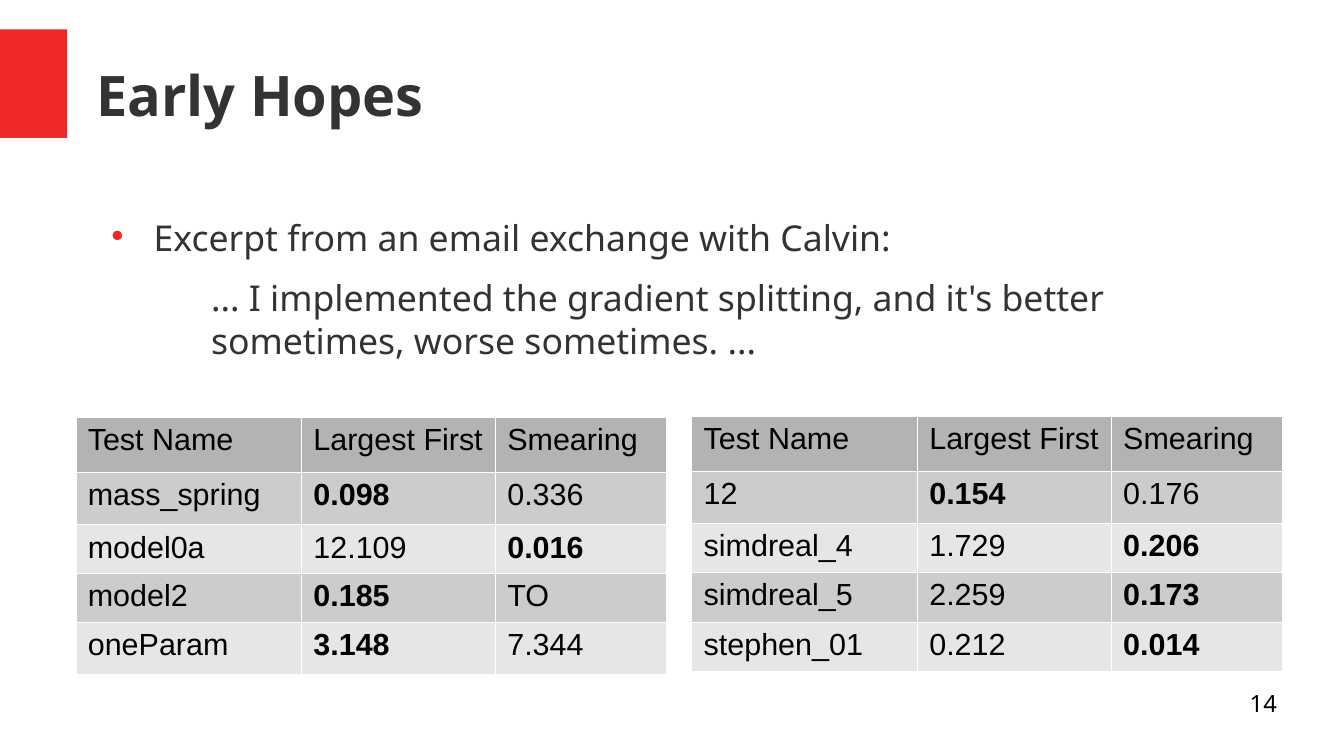
from dataclasses import dataclass

from lxml.etree import SubElement
from pptx import Presentation
from pptx.dml.color import RGBColor
from pptx.enum.shapes import MSO_SHAPE
from pptx.enum.text import MSO_ANCHOR, MSO_AUTO_SIZE, PP_ALIGN
from pptx.oxml.ns import qn
from pptx.util import Inches, Pt


@dataclass(frozen=True)
class Theme:
    accent: str = "EF2929"
    heading: str = "333333"
    ink: str = "000000"
    border: str = "FFFFFF"
    header_fill: str = "B3B3B3"
    band_fills: tuple = ("CCCCCC", "E6E6E6")
    text_font: str = "Noto Sans"
    table_font: str = "Arial"
    title_size: float = 33
    body_size: float = 21
    table_size: float = 18
    number_size: float = 14


THEME = Theme()
HEADERS = ("Test Name", "Largest First", "Smearing")
COLUMN_WIDTHS = (1.85, 1.59, 1.4)
MODEL_TIMES = (
    ("mass_spring", "0.098", "0.336"),
    ("model0a", "12.109", "0.016"),
    ("model2", "0.185", "TO"),
    ("oneParam", "3.148", "7.344"),
)
SIMULATION_TIMES = (
    ("12", "0.154", "0.176"),
    ("simdreal_4", "1.729", "0.206"),
    ("simdreal_5", "2.259", "0.173"),
    ("stephen_01", "0.212", "0.014"),
)


def style(paragraph, size, color, face=THEME.text_font, bold=False):
    font = paragraph.font
    font.name, font.size, font.bold = face, Pt(size), bold
    font.color.rgb = RGBColor.from_string(color)


def clear_margins(frame):
    frame.margin_left = frame.margin_top = frame.margin_right = frame.margin_bottom = 0
    frame.word_wrap = True


def add_heading(slide, left, top, width, height):
    """Place the title and the accent block at the slide's left edge."""
    block = slide.shapes.add_shape(
        MSO_SHAPE.RECTANGLE, 0, Inches(top - 0.01), Inches(0.55), Inches(0.89))
    block.shadow.inherit = False
    block.fill.solid()
    block.fill.fore_color.rgb = RGBColor.from_string(THEME.accent)
    block.line.fill.background()

    title = slide.shapes.title
    title.left, title.top = Inches(left), Inches(top)
    title.width, title.height = Inches(width), Inches(height)
    frame = title.text_frame
    clear_margins(frame)
    frame.auto_size = MSO_AUTO_SIZE.NONE
    frame.vertical_anchor = MSO_ANCHOR.MIDDLE
    frame.text = "Early Hopes"
    heading = frame.paragraphs[0]
    heading.alignment = PP_ALIGN.LEFT
    style(heading, THEME.title_size, THEME.heading, bold=True)


def indent(paragraph, margin, first_line=0):
    properties = paragraph._p.get_or_add_pPr()
    properties.set("marL", str(Inches(margin)))
    properties.set("indent", str(Inches(first_line)))
    return properties


def add_excerpt(slide, left, top, width, height):
    frame = slide.shapes.add_textbox(
        Inches(left), Inches(top), Inches(width), Inches(height)).text_frame
    clear_margins(frame)
    intro = frame.paragraphs[0]
    intro.text = "Excerpt from an email exchange with Calvin:"
    intro.space_after = Pt(10.6)
    properties = indent(intro, 0.47, -0.35)
    bullet_color = SubElement(properties, qn("a:buClr"))
    SubElement(bullet_color, qn("a:srgbClr"), val=THEME.accent)
    SubElement(properties, qn("a:buSzPct"), val="45000")
    SubElement(properties, qn("a:buChar"), char="●")

    quote = frame.add_paragraph()
    quote.text = ("... I implemented the gradient splitting, and it's better "
                  "sometimes, worse sometimes. ...")
    quote.space_after = Pt(8.5)
    indent(quote, 0.94)
    for paragraph in (intro, quote):
        style(paragraph, THEME.body_size, THEME.heading)


def add_borders(cell):
    properties = cell._tc.get_or_add_tcPr()
    for side in ("lnL", "lnR", "lnT", "lnB"):
        line = SubElement(properties, qn(f"a:{side}"), w=str(Pt(0.06)))
        fill = SubElement(line, qn("a:solidFill"))
        SubElement(fill, qn("a:srgbClr"), val=THEME.border)


def fill_cell(cell, text, color, bold):
    add_borders(cell)
    cell.fill.solid()
    cell.fill.fore_color.rgb = RGBColor.from_string(color)
    cell.margin_left = cell.margin_right = Inches(0.1)
    cell.margin_top = cell.margin_bottom = Inches(0.05)
    cell.text = text
    style(cell.text_frame.paragraphs[0], THEME.table_size, THEME.ink,
          THEME.table_font, bold)


def seconds(time):
    """Read a time, with TO (timed out) as the slowest of all."""
    return float("inf") if time == "TO" else float(time)


def add_times_table(slide, left, top, times, row_heights):
    """Place a table of run times with the fastest of each row in bold."""
    rows = (HEADERS, *times)
    table = slide.shapes.add_table(
        len(rows), len(HEADERS), Inches(left), Inches(top),
        Inches(sum(COLUMN_WIDTHS)), Inches(sum(row_heights))).table
    for column, width in zip(table.columns, COLUMN_WIDTHS):
        column.width = Inches(width)
    for r, (values, height) in enumerate(zip(rows, row_heights)):
        table.rows[r].height = Inches(height)
        color = THEME.band_fills[(r - 1) % 2] if r else THEME.header_fill
        fastest = min(values[1:], key=seconds) if r else None
        for c, value in enumerate(values):
            fill_cell(table.cell(r, c), value, color, c > 0 and value == fastest)


def add_slide_number(slide, left, top, width, height):
    frame = slide.shapes.add_textbox(
        Inches(left), Inches(top), Inches(width), Inches(height)).text_frame
    clear_margins(frame)
    number = frame.paragraphs[0]
    number.text = "14"
    number.alignment = PP_ALIGN.RIGHT
    style(number, THEME.number_size, THEME.ink)


def main():
    deck = Presentation()
    deck.slide_width, deck.slide_height = Inches(11.02), Inches(6.2)
    slide = deck.slides.add_slide(deck.slide_layouts.get_by_name("Title Only"))
    add_heading(slide, 0.79, 0.25, 9.68, 1.04)
    add_excerpt(slide, 0.79, 1.77, 9.45, 1.23)
    add_times_table(slide, 0.62, 3.42, MODEL_TIMES, (0.45, 0.43, 0.38, 0.38, 0.43))
    add_times_table(slide, 5.67, 3.41, SIMULATION_TIMES, (0.45, 0.43, 0.4, 0.41, 0.38))
    add_slide_number(slide, 7.9, 5.65, 2.57, 0.43)
    deck.save("out.pptx")


if __name__ == "__main__":
    main()
